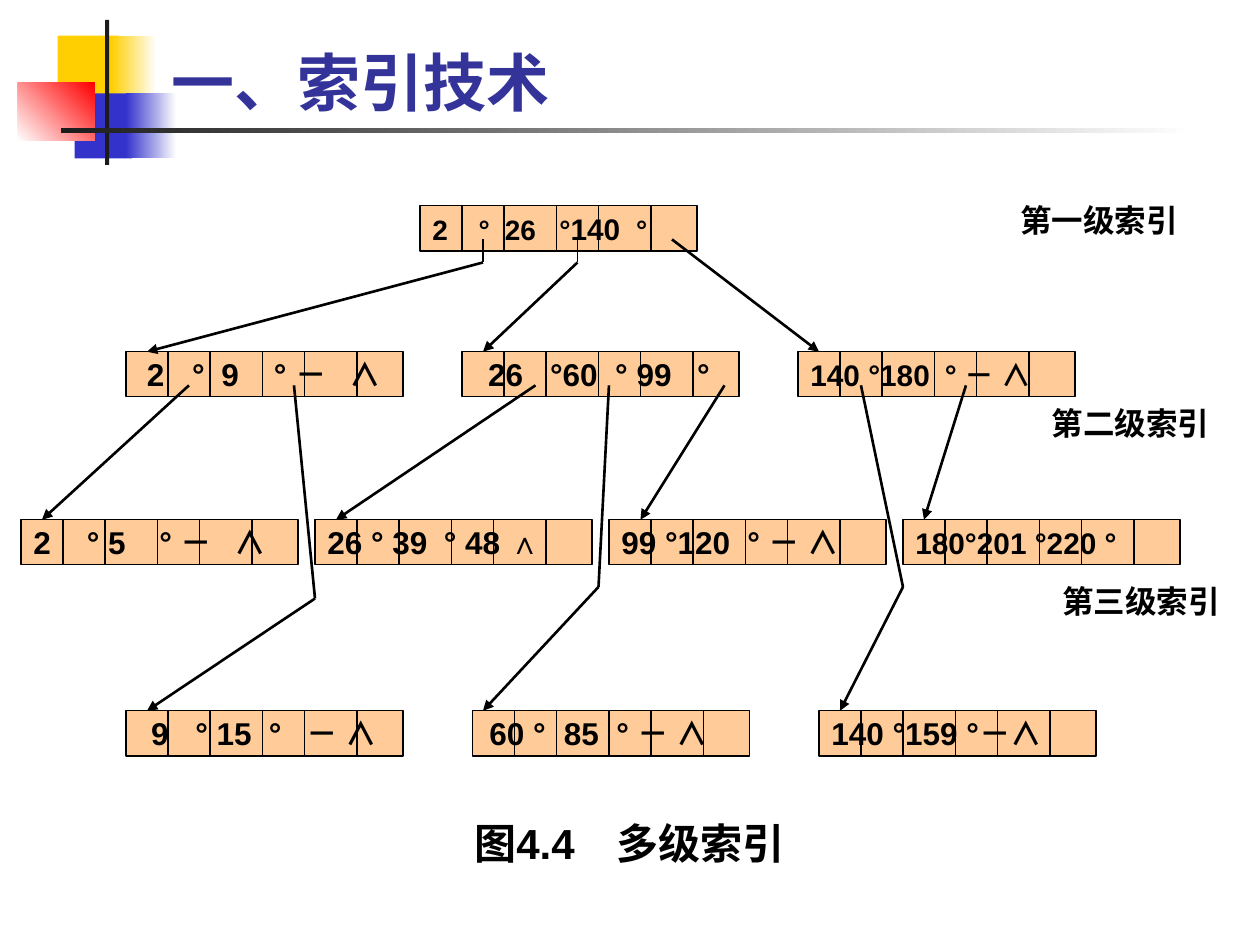
"""Build a slide showing a three-level index tree."""
from lxml import etree
from pptx import Presentation, util as u
from pptx.dml.color import RGBColor
from pptx.enum import shapes as sh, text as tx
from pptx.oxml.ns import qn

PX = u.Inches(1) // 120
EDGES = (40, 80, 130, 170, 220)
WIDE, HIGH = 264, 43
TOPS = (196, 335, 495, 677)


def px(*vals):
    """Turn px lengths into EMU."""
    return [u.Emu(v * PX) for v in vals]


def tint(code):
    """Turn a hex string into a colour."""
    return RGBColor.from_string(code)


def style(para, size, code="000000", face="Arial"):
    """Set the bold font of a paragraph."""
    font = para.font
    font.size, font.bold, font.name = u.Pt(size), True, face
    font.color.rgb = tint(code)


def block(slide, box, code, end=None, angle=0):
    """Add a plain rectangle, shaded from code to end when end is given."""
    rect = slide.shapes.add_shape(sh.MSO_SHAPE.RECTANGLE, *px(*box))
    rect.shadow.inherit = False
    rect.line.fill.background()
    if end:
        rect.fill.gradient()
        rect.fill.gradient_angle = angle
        for stop, hue in zip(rect.fill.gradient_stops, (code, end)):
            stop.color.rgb = tint(hue)
    else:
        rect.fill.solid()
        rect.fill.fore_color.rgb = tint(code)
    return rect


def line(slide, start, end, width, arrow=False):
    """Add a straight black line, with an arrowhead at its end if asked."""
    link = slide.shapes.add_connector(sh.MSO_CONNECTOR.STRAIGHT, *px(*start, *end))
    link.line.color.rgb = tint("000000")
    link.line.width = u.Pt(width)
    if arrow:
        etree.SubElement(link.line._get_or_add_ln(), qn("a:tailEnd"), type="triangle")
    etree.SubElement(link._element.spPr, qn("a:effectLst"))


def node(slide, x, y, words, size=18, inset=12, tabs=()):
    """Add one index node with its cell dividers and return its paragraph."""
    rect = block(slide, (x, y, WIDE, HIGH), "FFCC99")
    rect.line.color.rgb = tint("000000")
    rect.line.width = u.Pt(0.75)
    frame = rect.text_frame
    frame.word_wrap = True
    frame.margin_left = px(inset)[0]
    frame.vertical_anchor = tx.MSO_ANCHOR.MIDDLE
    para = frame.paragraphs[0]
    para.alignment = tx.PP_ALIGN.LEFT
    if tabs:
        stops = etree.SubElement(para._p.get_or_add_pPr(), qn("a:tabLst"))
        for tab in tabs:
            etree.SubElement(stops, qn("a:tab"), pos=str(tab * PX), algn="l")
    para.add_run().text = words
    style(para, size)
    for edge in EDGES:
        line(slide, (x + edge, y), (x + edge, y + HIGH), 0.75)
    return para


def label(slide, box, words, size=18):
    """Add a bold text label."""
    frame = slide.shapes.add_textbox(*px(*box)).text_frame
    frame.word_wrap = True
    frame.text = words
    style(frame.paragraphs[0], size)


def path(slide, points):
    """Join points by lines, thin where upright, ending in an arrow."""
    for start, end in zip(points, points[1:]):
        width = 0.75 if start[0] == end[0] else 1.5
        line(slide, start, end, width, end == points[-1])


def header(slide, x, y):
    """Add the coloured blocks, rules and title."""
    parts = (
        ((38, 15, 58, 62), "FFCF01"),
        ((89, 15, 43, 62), "FFCF01", "FFFFFF"),
        ((54, 70, 55, 62), "3333CC"),
        ((103, 70, 48, 62), "3333CC", "FFFFFF"),
        ((0, 60, 73, 55), "FFFFFF", "FF0000", 45),
        ((83, 0, 4, 138), "1C1C1C"),
        ((41, 103, 1080, 5), "1C1C1C", "FFFFFF"),
    )
    for (left, top, wide, high), *hues in parts:
        block(slide, (x + left, y + top, wide, high), *hues)
    title = slide.shapes.title
    title.left, title.top, title.width, title.height = px(x + 134, y - 9, 1022, 109)
    frame = title.text_frame
    frame.text = "一、索引技术"
    frame.auto_size = tx.MSO_AUTO_SIZE.NONE
    frame.vertical_anchor = tx.MSO_ANCHOR.BOTTOM
    frame.paragraphs[0].alignment = tx.PP_ALIGN.LEFT
    style(frame.paragraphs[0], 36, "333399", "Karla")


def row(slide, x, y, step, nodes):
    """Add a row of evenly spaced nodes."""
    for i, args in enumerate(nodes):
        node(slide, x + i * step, y, *args)


def tree(slide):
    """Add the index nodes, their links and the labels."""
    root, second, third, last = TOPS
    row(slide, 120, second, 320, (
        ("2\t°\t9\t° －\t∧", 18, 20, (43, 71, 121, 193)),
        ("26\t°60\t° 99\t°", 18, 25, (59, 121, 199)),
        ("140 °180\t° － ∧", 17, 12, (128,)),
    ))
    row(slide, 20, third, 280, (
        ("2\t° 5\t° －\t∧", 18, 12, (51, 120, 192)),
        ("26 ° 39\t° 48 ∧", 18, 12, (111,)),
        ("99 °120\t° － ∧", 18, 12, (120,)),
        ("180°201 °220 °", 17),
    ))
    row(slide, 120, last, 330, (
        ("9\t° 15\t°\t－ ∧", 18, 24, (42, 112, 148)),
        ("60 °\t85\t° － ∧", 18, 16, (71, 121)),
        ("140 °159 °－∧",),
    ))
    para = node(slide, 400, root, "2\t°\t26\t°", 16, 12, (44, 69, 121, 194))
    for words, size in (("140", 17), ("\t°", 16)):
        run = para.add_run()
        run.text, run.font.size = words, u.Pt(size)

    out, bend, low = root + 32, root + 54, second + 32
    for points in (
        ((460, out), (460, bend), (140, second)),
        ((550, out), (550, bend), (460, second)),
        ((640, out), (780, second)),
        ((180, low), (40, third)),
        ((280, low), (300, 570), (140, last)),
        ((510, low), (320, third)),
        ((580, low), (570, 559), (460, last)),
        ((690, low), (610, third)),
        ((820, low), (860, 559), (800, last)),
        ((920, low), (880, third)),
    ):
        path(slide, points)

    label(slide, (440, 773, 370, 60), "图4.4　多级索引", 24)
    label(slide, (960, 186, 210, 48), "第一级索引")
    label(slide, (990, 379, 190, 48), "第二级索引")
    label(slide, (1000, 548, 190, 48), "第三级索引")


def main():
    """Build and save the deck."""
    deck = Presentation()
    deck.slide_width, deck.slide_height = px(1200, 900)
    slide = deck.slides.add_slide(deck.slide_layouts[5])
    header(slide, 17, 19)
    tree(slide)
    deck.save("out.pptx")


if __name__ == "__main__":
    main()
